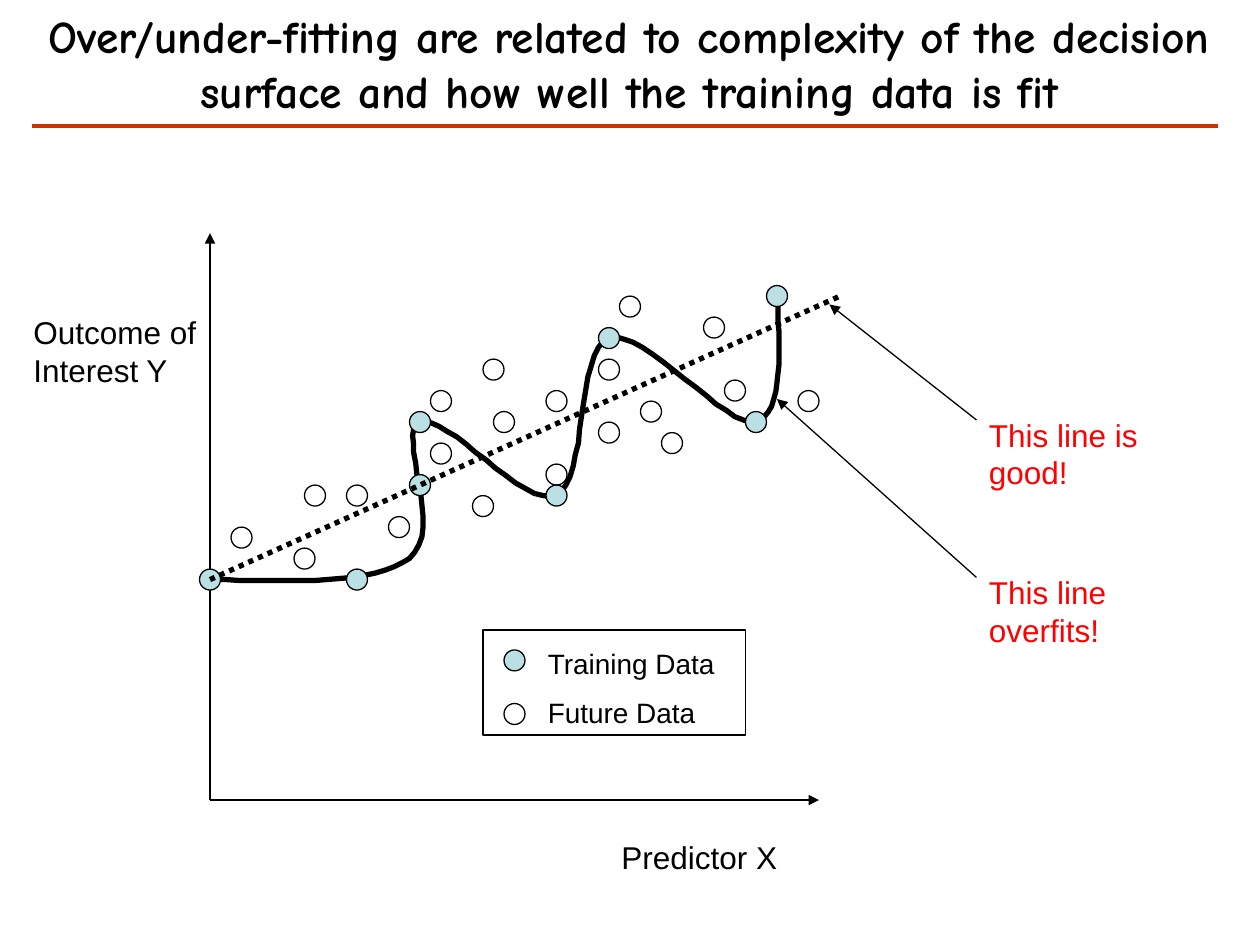
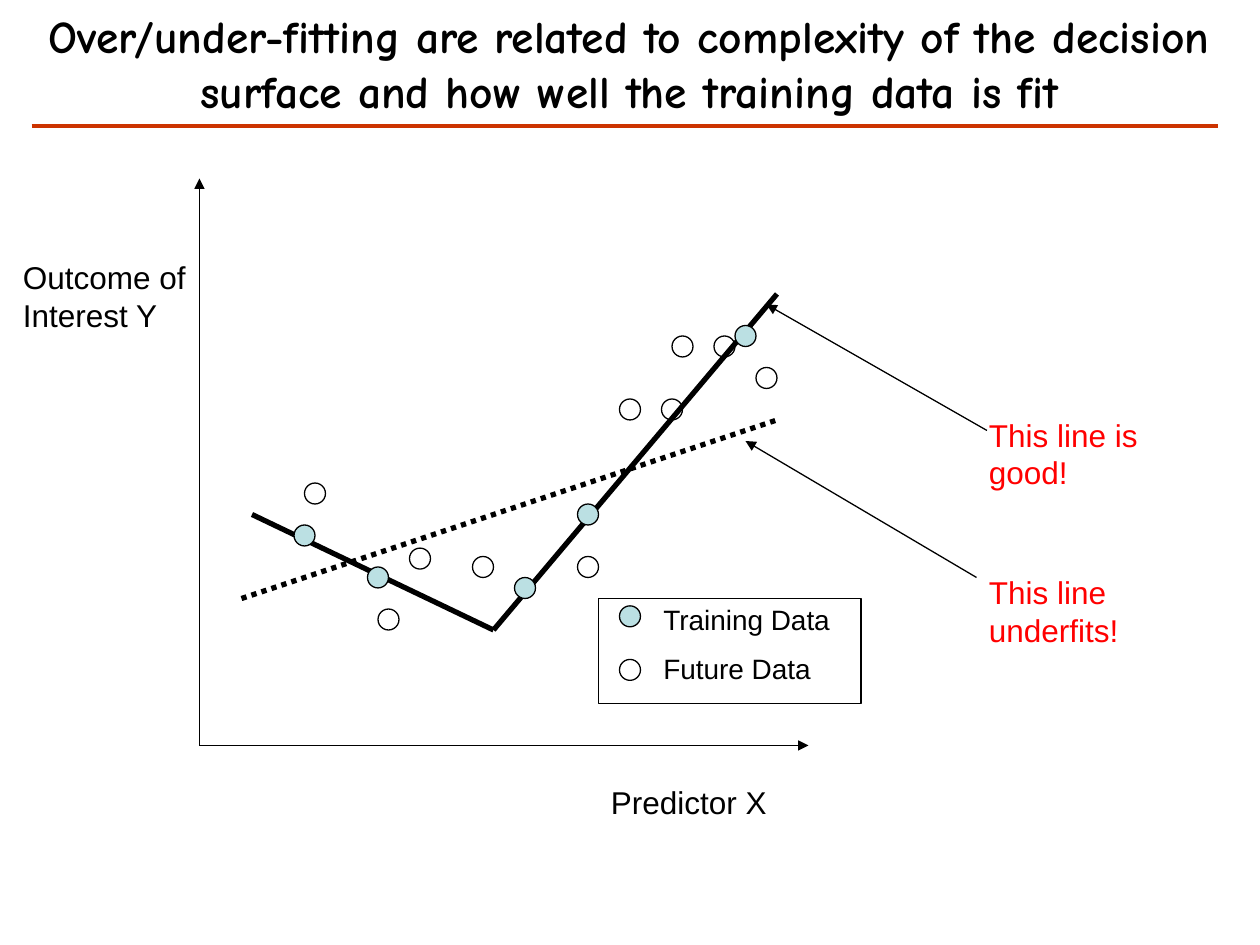
from dataclasses import dataclass
from itertools import pairwise

from lxml.etree import SubElement
from pptx import Presentation
from pptx.dml.color import RGBColor
from pptx.enum.dml import MSO_LINE_DASH_STYLE as Dash
from pptx.enum.shapes import MSO_CONNECTOR as Connector
from pptx.enum.shapes import MSO_SHAPE as Preset
from pptx.enum.text import MSO_ANCHOR as Anchor
from pptx.enum.text import MSO_AUTO_SIZE as AutoSize
from pptx.enum.text import PP_ALIGN as Align
from pptx.oxml.ns import qn
from pptx.util import Emu, Pt

Point = tuple[int, int]

PX = 7620  # EMU; 120 px to the inch
PAGE_WIDTH, PAGE_HEIGHT = 1200, 900
BLACK = RGBColor(0x00, 0x00, 0x00)
RED = RGBColor(0xFF, 0x00, 0x00)
RUST = RGBColor(0xCC, 0x33, 0x00)
PALE_BLUE = RGBColor(0xBB, 0xE0, 0xE3)

TITLE = (
    "Over/under-fitting are related to complexity of the decision "
    "surface and how well the training data is fit"
)
TITLE_FONT = {"name": "Comic Neue", "size": Pt(26), "bold": True}
LABEL_FONT = {"name": "Arial", "size": Pt(18)}
LEGEND_FONT = {"name": "Arial", "size": Pt(16)}

THIN, THICK, RULE = 0.75, 3, 2.5
DOT_SIZE = 20
CURVE_STEPS = 16


@dataclass(frozen=True)
class Legend:
    left: int
    top: int
    entries_top: int


@dataclass(frozen=True)
class Note:
    text: str
    top: int
    arrow_start: Point
    arrow_tip: Point


@dataclass(frozen=True)
class Plot:
    origin: Point
    training: list[Point]
    future: list[Point]
    straight_fit: tuple[Point, Point]
    legend: Legend
    notes: list[Note]
    curve_controls: tuple[Point, ...] = ()
    bent_fit: tuple[Point, ...] = ()


PLOTS = [
    Plot(
        origin=(200, 762),
        curve_controls=(
            (200, 552),
            (278, 554), (356, 557), (390, 532),
            (424, 506), (377, 412), (400, 402),
            (424, 392), (500, 485), (530, 472),
            (560, 458), (548, 334), (580, 322),
            (612, 311), (694, 410), (720, 402),
            (746, 394), (743, 332), (740, 272),
        ),
        training=[
            (190, 542), (330, 542), (390, 452), (390, 392),
            (520, 462), (570, 312), (710, 392), (730, 272),
        ],
        future=[
            (280, 522), (330, 462), (370, 492), (450, 472), (470, 392),
            (520, 442), (520, 372), (570, 402), (630, 412), (610, 382),
            (570, 342), (590, 282), (690, 362), (670, 302), (220, 502),
            (290, 462), (410, 422), (410, 372), (460, 342), (760, 372),
        ],
        straight_fit=((200, 552), (800, 282)),
        legend=Legend(460, 600, 610),
        notes=[
            Note("This line is good!", 390, (930, 400), (790, 290)),
            Note("This line overfits!", 540, (930, 550), (740, 380)),
        ],
    ),
    Plot(
        origin=(190, 710),
        bent_fit=((240, 490), (470, 600), (740, 280)),
        training=[(280, 500), (350, 540), (490, 550), (550, 480), (700, 310)],
        future=[
            (390, 522), (450, 530), (550, 530), (290, 460), (360, 580),
            (630, 380), (680, 320), (720, 350), (590, 380), (640, 320),
        ],
        straight_fit=((230, 570), (740, 400)),
        legend=Legend(570, 570, 568),
        notes=[
            Note("This line is good!", 390, (940, 410), (730, 290)),
            Note("This line underfits!", 540, (930, 550), (710, 420)),
        ],
    ),
]


def px(*lengths: int) -> list[Emu]:
    return [Emu(length * PX) for length in lengths]


def style_font(font, values: dict, color: RGBColor) -> None:
    for name, value in values.items():
        setattr(font, name, value)
    font.color.rgb = color


def style_line(line, width: float, color: RGBColor = BLACK) -> None:
    line.color.rgb = color
    line.width = Pt(width)


def add_line(page, start: Point, end: Point, width: float,
             color: RGBColor = BLACK, arrow: bool = False, dotted: bool = False) -> None:
    connector = page.shapes.add_connector(Connector.STRAIGHT, *px(*start, *end))
    style_line(connector.line, width, color)
    if dotted:
        connector.line.dash_style = Dash.ROUND_DOT
    properties = connector.element.spPr
    if arrow:
        SubElement(properties.find(qn("a:ln")), qn("a:tailEnd"), type="triangle")
    SubElement(properties, qn("a:effectLst"))


def add_preset(page, preset: Preset, left: int, top: int, width: int, height: int,
               fill: RGBColor | None = None) -> None:
    shape = page.shapes.add_shape(preset, *px(left, top, width, height))
    shape.shadow.inherit = False
    if fill is None:
        shape.fill.background()
    else:
        shape.fill.solid()
        shape.fill.fore_color.rgb = fill
    style_line(shape.line, THIN)


def add_dot(page, corner: Point, fill: RGBColor | None = None) -> None:
    add_preset(page, Preset.OVAL, *corner, DOT_SIZE, DOT_SIZE, fill)


def add_text(page, lines: list[str], left: int, top: int, width: int, height: int,
             font: dict = LABEL_FONT, color: RGBColor = BLACK) -> None:
    box = page.shapes.add_textbox(*px(left, top, width, height))
    frame = box.text_frame
    frame.word_wrap = True
    frame.auto_size = AutoSize.SHAPE_TO_FIT_TEXT
    for index, line in enumerate(lines):
        para = frame.add_paragraph() if index else frame.paragraphs[0]
        if index:
            para.space_before = Pt(8.5)
        span = para.add_run()
        span.text = line
        style_font(span.font, font, color)


def trace_curve(controls: tuple[Point, ...]) -> list[tuple[float, float]]:
    """Sample a chain of cubic Bézier segments that share their end points."""
    points = [controls[0]]
    for first in range(0, len(controls) - 1, 3):
        segment = controls[first:first + 4]
        for step in range(1, CURVE_STEPS + 1):
            t = step / CURVE_STEPS
            weights = ((1 - t) ** 3, 3 * t * (1 - t) ** 2, 3 * t ** 2 * (1 - t), t ** 3)
            points.append(tuple(
                sum(weight * value for weight, value in zip(weights, axis))
                for axis in zip(*segment)
            ))
    return points


def add_curve(page, controls: tuple[Point, ...]) -> None:
    start, *rest = trace_curve(controls)
    builder = page.shapes.build_freeform(*start, scale=PX)
    builder.add_line_segments(rest, close=False)
    curve = builder.convert_to_shape()
    curve.shadow.inherit = False
    curve.fill.background()
    style_line(curve.line, THICK)


def add_heading(page) -> None:
    title = page.shapes.title
    title.left, title.top, title.width, title.height = px(0, 0, PAGE_WIDTH, 120)
    frame = title.text_frame
    frame.text = TITLE
    frame.word_wrap = True
    frame.auto_size = AutoSize.NONE
    frame.vertical_anchor = Anchor.MIDDLE
    para = frame.paragraphs[0]
    para.alignment = Align.CENTER
    style_font(para.runs[0].font, TITLE_FONT, BLACK)
    add_line(page, (30, 120), (1160, 120), RULE, RUST)


def add_axes(page, origin: Point) -> None:
    x, y = origin
    for tip in ((x, y - 540), (x + 580, y)):
        add_line(page, origin, tip, THIN, arrow=True)
    add_text(page, ["Predictor X"], x + 380, y + 30, 190, 48)
    add_text(page, ["Outcome of Interest Y"], x - 180, y - 470, 190, 84)


def add_legend(page, legend: Legend) -> None:
    add_preset(page, Preset.RECTANGLE, legend.left, legend.top, 250, 100)
    for offset, fill in ((9, PALE_BLUE), (60, None)):
        add_dot(page, (legend.left + 20, legend.entries_top + offset), fill)
    add_text(page, ["Training Data", "Future Data"],
             legend.left + 50, legend.entries_top, 250, 92, LEGEND_FONT)


def add_plot(page, plot: Plot) -> None:
    if plot.curve_controls:
        add_curve(page, plot.curve_controls)
    add_axes(page, plot.origin)
    for start, end in pairwise(plot.bent_fit):
        add_line(page, start, end, THICK)
    for corner in plot.training:
        add_dot(page, corner, PALE_BLUE)
    add_line(page, *plot.straight_fit, THICK, dotted=True)
    for corner in plot.future:
        add_dot(page, corner)
    add_legend(page, plot.legend)
    for note in plot.notes:
        add_text(page, [note.text], 930, note.top, 220, 84, color=RED)
        add_line(page, note.arrow_start, note.arrow_tip, THIN, arrow=True)


def main() -> None:
    deck = Presentation()
    deck.slide_width, deck.slide_height = px(PAGE_WIDTH, PAGE_HEIGHT)
    title_only = deck.slide_layouts[5]
    for plot in PLOTS:
        page = deck.slides.add_slide(title_only)
        add_heading(page)
        add_plot(page, plot)
    deck.save("out.pptx")


if __name__ == "__main__":
    main()
